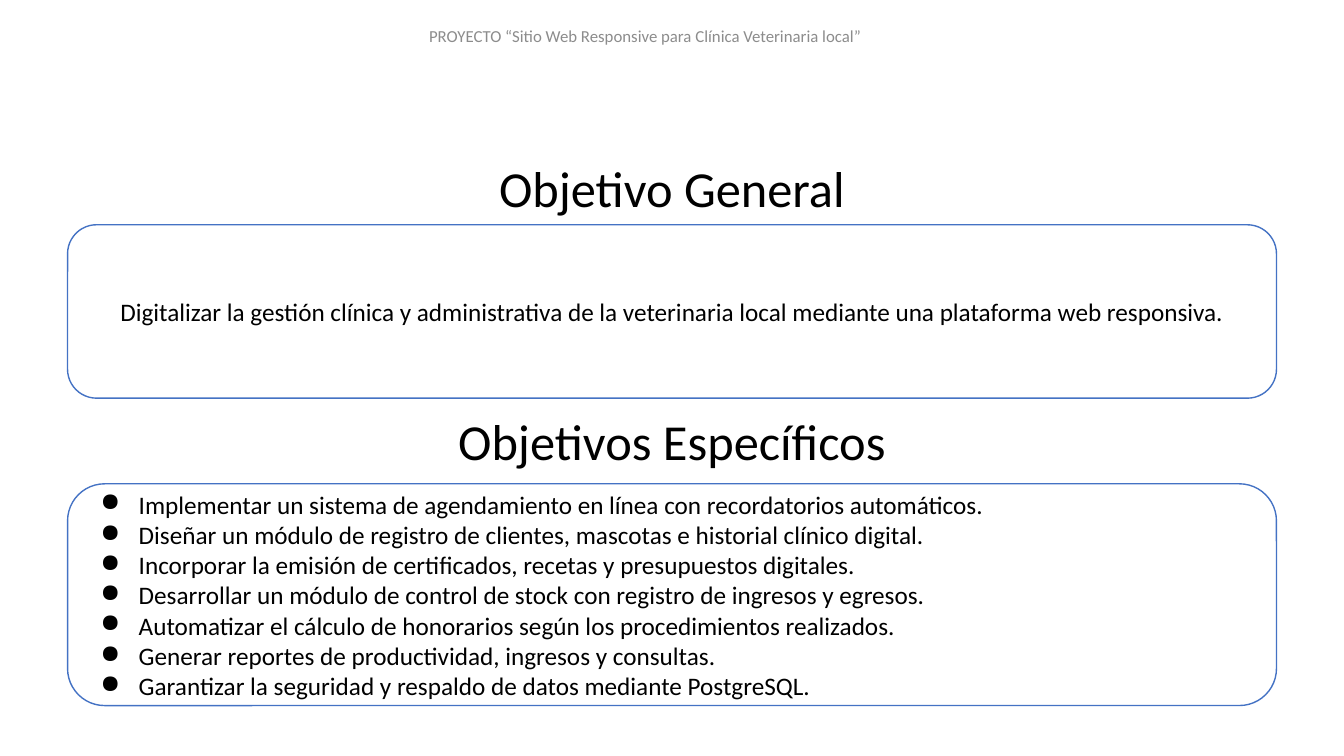
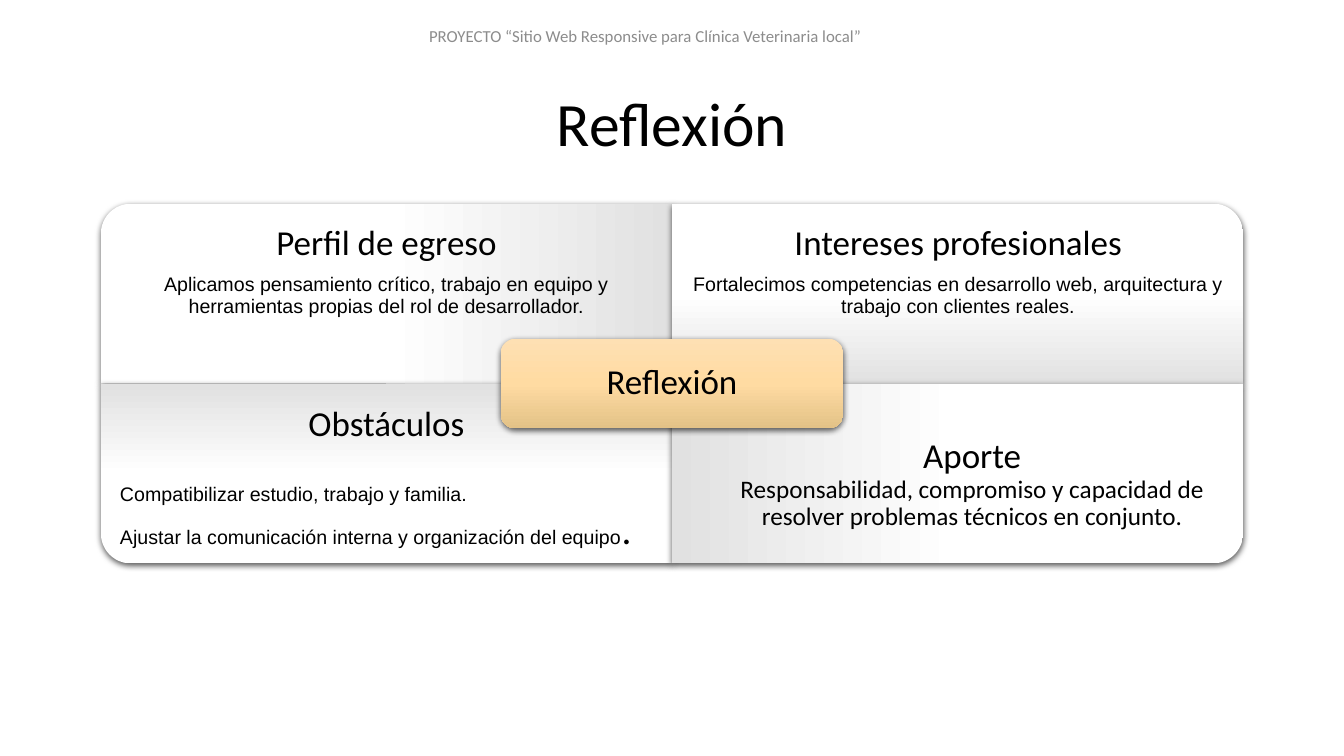
from copy import deepcopy

from lxml import etree
from pptx import Presentation
from pptx.dml.color import RGBColor
from pptx.enum.shapes import MSO_SHAPE
from pptx.enum.text import MSO_ANCHOR, PP_ALIGN
from pptx.oxml.ns import qn
from pptx.util import Emu, Inches, Pt

CENTER, LEFT, JUSTIFY = PP_ALIGN.CENTER, PP_ALIGN.LEFT, PP_ALIGN.JUSTIFY
TOP, MIDDLE = MSO_ANCHOR.TOP, MSO_ANCHOR.MIDDLE
ROUNDED, ONE_CORNER = MSO_SHAPE.ROUNDED_RECTANGLE, MSO_SHAPE.ROUND_1_RECTANGLE

COLORS = {"text": "000000", "header": "8C8C8C", "panel": "FFFFFF",
          "outline": "4472C4", "shadow": "000000"}
TILE_GRADIENT = ((0, "FFFFFF"), (0.5, "FFFFFF"), (1, "E1E1E1"))
CENTER_GRADIENT = ((0, "FEE0B3"), (0.5, "FFDBA2"), (1, "E3C287"))
WIDTH, HEIGHT = 13.33, 7.5
CORNER = 0.167

# Content
HEADER = "PROYECTO “Sitio Web Responsive para Clínica Veterinaria local”"
GENERAL_GOAL = ("Digitalizar la gestión clínica y administrativa de la veterinaria "
                "local mediante una plataforma web responsiva.")
SPECIFIC_GOALS = [
    "Implementar un sistema de agendamiento en línea con recordatorios automáticos.",
    "Diseñar un módulo de registro de clientes, mascotas e historial clínico digital.",
    "Incorporar la emisión de certificados, recetas y presupuestos digitales.",
    "Desarrollar un módulo de control de stock con registro de ingresos y egresos.",
    "Automatizar el cálculo de honorarios según los procedimientos realizados.",
    "Generar reportes de productividad, ingresos y consultas.",
    "Garantizar la seguridad y respaldo de datos mediante PostgreSQL.",
]
GOAL_SECTIONS = [  # title, title top, panel top, panel height, paragraphs, format
    ("Objetivo General", 1.51, 2.23, 1.72, [GENERAL_GOAL], {}),
    ("Objetivos Específicos", 4.02, 4.8, 2.2, SPECIFIC_GOALS,
     {"align": JUSTIFY, "bullet": "●"}),
]
TILE_TITLE = {"size": 25, "spacing": 0.9}
TILE_BODY = {"size": 14, "font": "Arial", "spacing": 0.9, "before": 8.8}
TILE_ITEM = {"size": 14, "font": "Arial", "align": LEFT}
TILES = [  # column, row, rotation, text frame (left, top, height), paragraphs
    (0, 0, 270, (1, 2.02, 1.34), [
        ("Perfil de egreso", TILE_TITLE),
        ("Aplicamos pensamiento crítico, trabajo en equipo y herramientas propias "
         "del rol de desarrollador.", TILE_BODY)]),
    (1, 0, 0, (6.67, 2.02, 1.34), [
        ("Intereses profesionales", TILE_TITLE),
        ("Fortalecimos competencias en desarrollo web, arquitectura y trabajo con "
         "clientes reales.", TILE_BODY)]),
    (0, 1, 180, (1, 3.92, 1.67), [
        ("Obstáculos", TILE_TITLE),
        ("Compatibilizar estudio, trabajo y familia.", {**TILE_ITEM, "before": 27.5}),
        ("Ajustar la comunicación interna y organización del equipo",
         {**TILE_ITEM, "ending": (".", 28)})]),
    (1, 1, 90, (6.81, 4.14, 1.34), [
        ("Aporte", TILE_TITLE),
        ("Responsabilidad, compromiso y capacidad de resolver problemas técnicos "
         "en conjunto.", {"size": 18, "spacing": 0.9})]),
]


def rgb(value):
    return RGBColor.from_string(value)


def add_span(para, text, size, font, color):
    span = para.add_run()
    span.text = text
    span.font.size, span.font.name = Pt(size), font
    span.font.color.rgb = rgb(color)


def write(frame, text, *, first=False, size=18, font="Calibri", color=COLORS["text"],
          align=CENTER, spacing=None, before=0, bullet=None, ending=None):
    para = frame.paragraphs[0] if first else frame.add_paragraph()
    if bullet:
        properties = para._p.get_or_add_pPr()
        properties.set("marL", str(Inches(0.5)))
        properties.set("indent", str(Inches(-0.38)))
        etree.SubElement(properties, qn("a:buChar")).set("char", bullet)
    para.alignment = align
    para.space_before = Pt(before)
    if spacing:
        para.line_spacing = spacing
    add_span(para, text, size, font, color)
    if ending:
        add_span(para, ending[0], ending[1], "Calibri", color)


def fill_frame(box, paragraphs, anchor=MIDDLE, side=0.1):
    frame = box.text_frame
    frame.word_wrap = True
    frame.vertical_anchor = anchor
    frame.margin_left = frame.margin_right = Inches(side)
    frame.margin_top = frame.margin_bottom = Inches(0.05)
    for number, (text, style) in enumerate(paragraphs):
        write(frame, text, first=number == 0, **style)


def add_text(page, place, paragraphs, **layout):
    box = page.shapes.add_textbox(*map(Inches, place))
    fill_frame(box, paragraphs, **layout)


def add_title(page, text, top, height, size):
    add_text(page, (0, top, WIDTH, height), [(text, {"size": size})], anchor=TOP)


def add_panel(page, kind, place):
    panel = page.shapes.add_shape(kind, *map(Inches, place))
    panel.adjustments[0] = CORNER
    panel.shadow.inherit = False
    return panel


def add_raised_panel(page, kind, place, gradient):
    panel = add_panel(page, kind, place)
    panel.line.fill.background()
    panel.fill.gradient()
    panel.fill.gradient_angle = 270
    properties = panel._element.spPr
    stops = properties.find(qn("a:gradFill")).find(qn("a:gsLst"))
    stops.append(deepcopy(stops[0]))
    for stop, (position, color) in zip(panel.fill.gradient_stops, gradient):
        stop.position = position
        stop.color.rgb = rgb(color)
    # Soft shadow below the panel
    shadow = etree.SubElement(properties.find(qn("a:effectLst")), qn("a:outerShdw"),
                              blurRad=str(Pt(4.5)), dist=str(Pt(1.5)),
                              dir="5400000", algn="ctr", rotWithShape="0")
    tint = etree.SubElement(shadow, qn("a:srgbClr"), val=COLORS["shadow"])
    etree.SubElement(tint, qn("a:alpha"), val="63000")
    return panel


def add_page(deck):
    page = deck.slides.add_slide(deck.slide_layouts[6])
    add_text(page, (4.15, 0.19, 4.5, 0.34),
             [(HEADER, {"size": 12, "color": COLORS["header"]})])
    return page


def build_goals(deck):
    page = add_page(deck)
    for title, title_top, top, height, lines, style in GOAL_SECTIONS:
        add_title(page, title, title_top, 0.71, 36)
        panel = add_panel(page, ROUNDED, (0.67, top, 11.99, height))
        panel.fill.solid()
        panel.fill.fore_color.rgb = rgb(COLORS["panel"])
        panel.line.color.rgb = rgb(COLORS["outline"])
        panel.line.width = Pt(1)
        fill_frame(panel, [(line, style) for line in lines])


def build_reflection(deck):
    page = add_page(deck)
    add_title(page, "Reflexión", 0.79, 0.84, 44)
    # Two by two tiles, each with its round corner turned outwards
    left, top, width, height = 1, 2.02, 5.665, 1.785
    for column, row, rotation, (text_left, text_top, text_height), lines in TILES:
        middle_x = left + (column + 0.5) * width
        middle_y = top + (row + 0.5) * height
        wide, tall = (height, width) if rotation % 180 else (width, height)
        tile = add_raised_panel(page, ONE_CORNER, (middle_x - wide / 2, middle_y - tall / 2,
                                                   wide, tall), TILE_GRADIENT)
        tile.rotation = rotation
        add_text(page, (text_left, text_top, width, text_height), lines, side=0.19)
    # Label where the four tiles meet
    label_width, label_height = 3.4, 0.89
    label = add_raised_panel(page, ROUNDED, (left + width - label_width / 2,
                                             top + height - label_height / 2,
                                             label_width, label_height), CENTER_GRADIENT)
    fill_frame(label, [("Reflexión", TILE_TITLE)])


def main():
    deck = Presentation()
    deck.slide_width, deck.slide_height = Emu(Inches(WIDTH)), Emu(Inches(HEIGHT))
    build_goals(deck)
    build_reflection(deck)
    deck.save("out.pptx")


if __name__ == "__main__":
    main()
